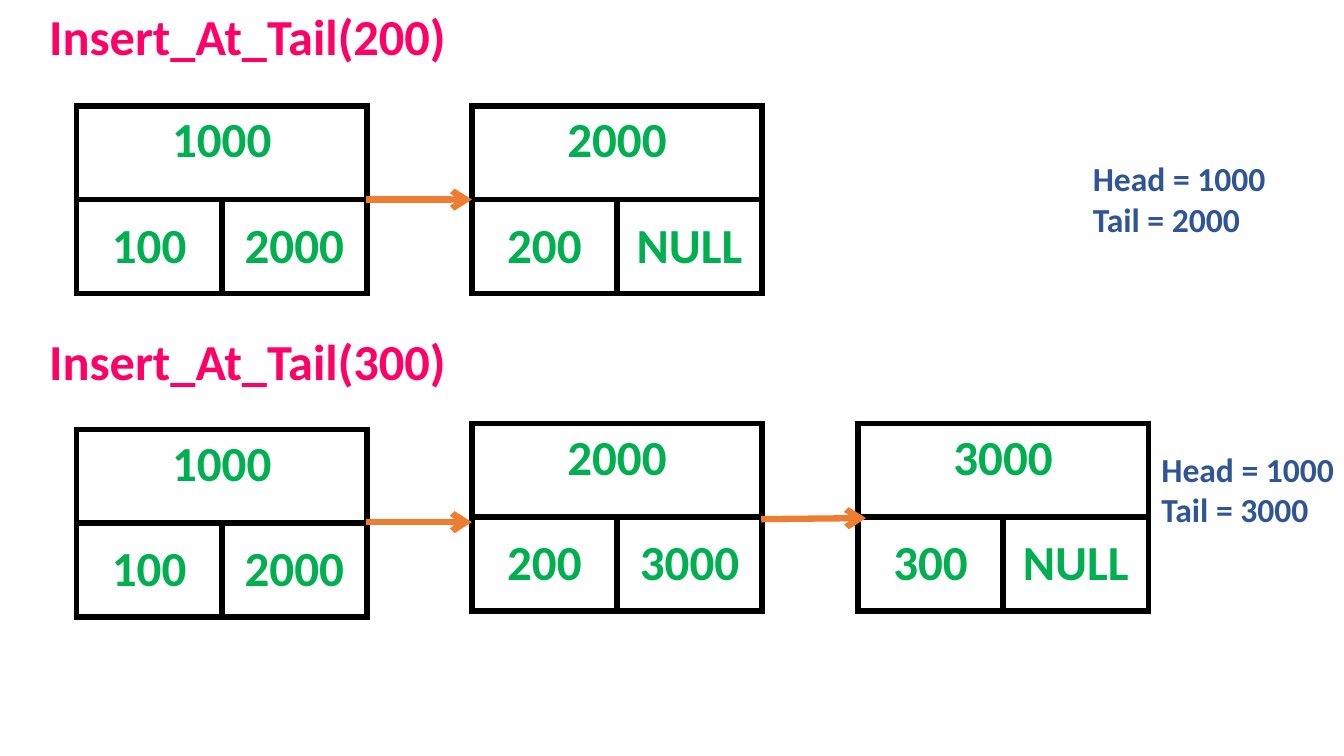
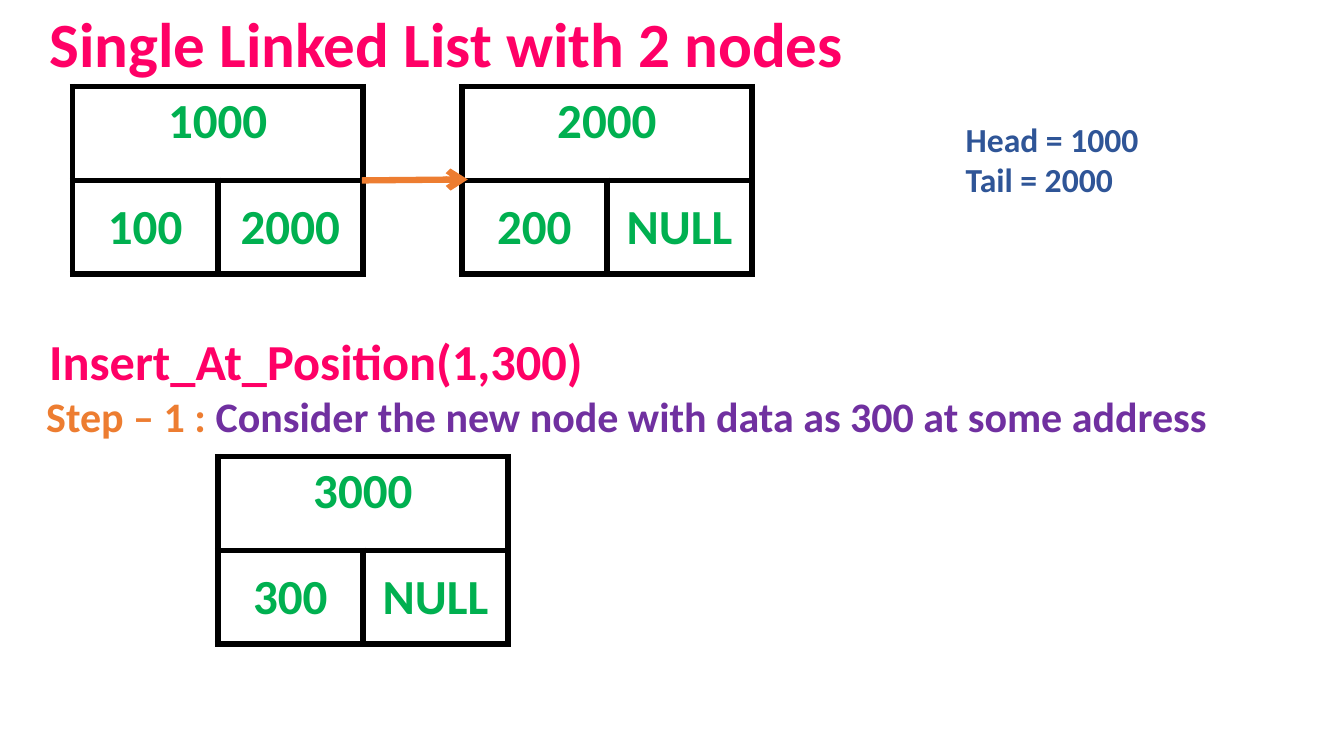
from lxml.etree import SubElement
from pptx import Presentation
from pptx.dml.color import RGBColor
from pptx.enum.shapes import MSO_CONNECTOR
from pptx.enum.text import MSO_ANCHOR, MSO_AUTO_SIZE, PP_ALIGN
from pptx.oxml import parse_xml
from pptx.oxml.ns import nsdecls, qn
from pptx.util import Pt

PX = 9144
FONT = "Calibri"
COLORS = {
    "title": "FF0066", "ends": "2F5597", "cell": "00B050", "edge": "000000",
    "arrow": "ED7D31", "step": "ED7D31", "detail": "7030A0", "paper": "FFFFFF",
}
HALF, ROW = 144, 93
NODE = 2 * HALF

SLIDES = [
    {
        "texts": [
            ((39, 0, 667, 71), 36, [[("Insert_At_Tail(200)", "title")]]),
            ((1074, 152, 230, 91), 24, [[("Head = 1000", "ends")], [("Tail = 2000", "ends")]]),
            ((39, 323, 896, 71), 36, [[("Insert_At_Tail(300)", "title")]]),
            ((1142, 440, 230, 91), 24, [[("Head = 1000", "ends")], [("Tail = 3000", "ends")]]),
        ],
        "nodes": [
            (76, 105, "1000", "100", "2000"),
            (468, 105, "2000", "200", "NULL"),
            (76, 426, "1000", "100", "2000"),
            (468, 420, "2000", "200", "3000"),
            (851, 420, "3000", "300", "NULL"),
        ],
        "arrows": [(363, 198, 468, 198), (363, 518, 468, 518), (755, 515, 859, 514)],
    },
    {
        "texts": [
            ((39, 0, 931, 86), 45, [[("Single Linked List with 2 nodes", "title")]]),
            ((948, 113, 230, 91), 24, [[("Head = 1000", "ends")], [("Tail = 2000", "ends")]]),
            ((39, 323, 896, 71), 36, [[("Insert_At_Position(1,300)", "title")]]),
            ((36, 382, 1239, 61), 30, [[
                ("Step – 1 : ", "step"),
                ("Consider the new node with data as 300 at some address", "detail"),
            ]]),
        ],
        "nodes": [
            (72, 86, "1000", "100", "2000"),
            (458, 86, "2000", "200", "NULL"),
            (216, 453, "3000", "300", "NULL"),
        ],
        "arrows": [(359, 179, 464, 178)],
    },
]


def scale(*sizes):
    return [size * PX for size in sizes]


def paint(name):
    return RGBColor.from_string(COLORS[name])


def style(font, size, color):
    font.name, font.size, font.bold = FONT, Pt(size), True
    font.color.rgb = paint(color)


def add_text(slide, box, size, lines):
    frame = slide.shapes.add_textbox(*scale(*box)).text_frame
    frame.word_wrap = True
    frame.auto_size = MSO_AUTO_SIZE.SHAPE_TO_FIT_TEXT
    for index, line in enumerate(lines):
        para = frame.add_paragraph() if index else frame.paragraphs[0]
        style(para.font, size, line[0][1])
        for text, color in line:
            run = para.add_run()
            run.text = text
            if len(line) > 1:
                run.font.color.rgb = paint(color)


def add_edges(cell):
    props = cell._tc.get_or_add_tcPr()
    for index, side in enumerate("LRTB"):
        props.insert(index, parse_xml(
            f'<a:ln{side} {nsdecls("a")} w="{Pt(4.5)}"><a:solidFill>'
            f'<a:srgbClr val="{COLORS["edge"]}"/></a:solidFill></a:ln{side}>'))


def add_node(slide, left, top, address, data, link):
    box = scale(left, top, NODE, 2 * ROW)
    table = slide.shapes.add_table(2, 2, *box).table
    table.first_row = table.horz_banding = False
    table.cell(0, 0).merge(table.cell(0, 1))
    for cell in table.iter_cells():
        cell.fill.solid()
        cell.fill.fore_color.rgb = paint("paper")
        add_edges(cell)
    for row, col, text in ((0, 0, address), (1, 0, data), (1, 1, link)):
        cell = table.cell(row, col)
        cell.text = text
        if row:
            cell.vertical_anchor = MSO_ANCHOR.MIDDLE
        para = cell.text_frame.paragraphs[0]
        para.alignment = PP_ALIGN.CENTER
        style(para.font, 35, "cell")


def add_arrow(slide, ends):
    arrow = slide.shapes.add_connector(MSO_CONNECTOR.STRAIGHT, *scale(*ends))
    arrow.line.color.rgb = paint("arrow")
    arrow.line.width = Pt(4.5)
    SubElement(arrow.line._get_or_add_ln(), qn("a:tailEnd"), type="arrow")
    SubElement(arrow._element.spPr, qn("a:effectLst"))


def main():
    deck = Presentation()
    deck.slide_width, deck.slide_height = scale(1333, 750)
    for page in SLIDES:
        slide = deck.slides.add_slide(deck.slide_layouts[6])
        for text in page["texts"]:
            add_text(slide, *text)
        for node in page["nodes"]:
            add_node(slide, *node)
        for ends in page["arrows"]:
            add_arrow(slide, ends)
    deck.save("out.pptx")


if __name__ == "__main__":
    main()
